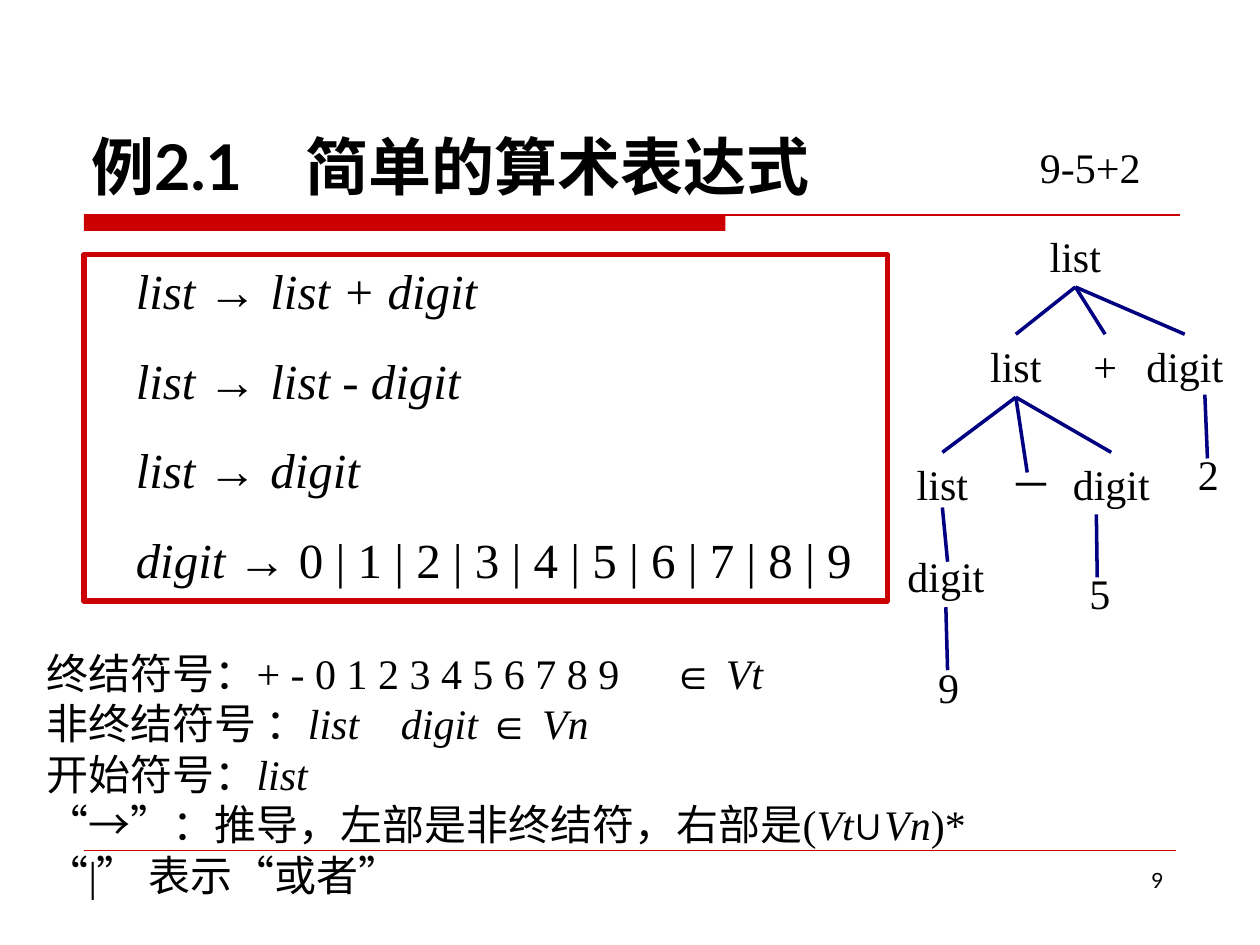
from lxml.etree import SubElement
from pptx import Presentation
from pptx.dml.color import RGBColor
from pptx.enum.shapes import MSO_CONNECTOR as Connector, MSO_SHAPE as Shape
from pptx.enum.text import MSO_ANCHOR as Anchor, MSO_AUTO_SIZE as AutoSize
from pptx.enum.text import PP_ALIGN as Align
from pptx.oxml.ns import qn
from pptx.util import Pt

BLACK = RGBColor(0x00, 0x00, 0x00)
RED = RGBColor(0xCC, 0x00, 0x00)
NAVY = RGBColor(0x00, 0x00, 0x80)
SERIF, SANS, HEADING = "Times New Roman", "Arial", "Lato"
TOP, BOTTOM = 0, 2
NODE_HEIGHT = 36

# Run styles: (font that differs from the paragraph, italic)
PLAIN, ITALIC, SYMBOL = (None, None), (None, True), (SANS, None)

GRAMMAR = [
    [("list ", ITALIC), ("→ ", SYMBOL), ("list + digit", ITALIC)],
    [("list ", ITALIC), ("→ ", SYMBOL), ("list - digit", ITALIC)],
    [("list ", ITALIC), ("→ ", SYMBOL), ("digit", ITALIC)],
    [("digit ", ITALIC), ("→", SYMBOL),
     (" 0 | 1 | 2 | 3 | 4 | 5 | 6 | 7 | 8 | 9", PLAIN)],
]
# Each explanation line with its tab stop, if it has one
NOTES = [
    ([("终结符号：+ - 0 1 2 3 4 5 6 7 8 9\t", PLAIN), ("∈ ", SYMBOL),
      ("Vt", ITALIC)], 357.5),
    ([("非终结符号 ：", PLAIN), ("list\tdigit ", ITALIC), ("∈ ", SYMBOL),
      ("Vn", ITALIC)], 202.5),
    ([("开始符号：", PLAIN), ("list", ITALIC)], None),
    ([("“", PLAIN), ("→", SYMBOL),
      ("”：推导，左部是非终结符，右部是(", PLAIN), ("Vt", ITALIC),
      ("∪", SYMBOL), ("Vn", ITALIC), (")*", PLAIN)], None),
    ([("“|” 表示“或者”", PLAIN)], None),
]
# Tree nodes: text, centre x, top, width
NODES = {
    "sum": ("list", 614.5, 128, 46),
    "difference": ("list", 580.5, 191, 46),
    "plus": ("+", 631.5, 191, 30),
    "right digit": ("digit", 677, 191, 62),
    "first": ("list", 538.5, 258.5, 46),
    "minus": ("－", 589.5, 258.5, 40),
    "middle digit": ("digit", 635, 258.5, 62),
    "left digit": ("digit", 540.5, 311, 62),
    "nine": ("9", 542, 374.5, 28),
    "five": ("5", 628.5, 321, 28),
    "two": ("2", 690.5, 253, 28),
}
# Tree edges: each end is a node or a point beside its label
EDGES = [
    ("sum", "difference"), ("sum", "plus"), ("sum", "right digit"),
    ("difference", "first"), ("difference", (587, 270)),
    ("difference", "middle digit"),
    ((538.5, 290), (541.5, 321)), ("left digit", (541.5, 383)),
    ((626.5, 294), (627, 330)), ((688.5, 225.5), (690, 262)),
]


def add_text_box(slide, left, top, width, height):
    box = slide.shapes.add_textbox(Pt(left), Pt(top), Pt(width), Pt(height))
    box.text_frame.word_wrap = True
    return box


def style_paragraph(paragraph, size, font=SERIF, align=Align.LEFT):
    paragraph.alignment = align
    paragraph.font.size = Pt(size)
    paragraph.font.name = font
    paragraph.font.color.rgb = BLACK


def add_label(slide, text, center, top, width):
    box = add_text_box(slide, center - width / 2, top, width, NODE_HEIGHT)
    box.text_frame.word_wrap = False
    box.text_frame.auto_size = AutoSize.SHAPE_TO_FIT_TEXT
    paragraph = box.text_frame.paragraphs[0]
    paragraph.text = text
    style_paragraph(paragraph, 24, align=Align.CENTER)
    return box


def add_runs(paragraph, runs):
    for text, (font, italic) in runs:
        run = paragraph.add_run()
        run.text = text
        if font:
            run.font.name = font
        if italic:
            run.font.italic = True


def add_tab_stop(paragraph, position):
    properties = paragraph._p.get_or_add_pPr()
    tabs = SubElement(properties, qn("a:tabLst"))
    SubElement(tabs, qn("a:tab"), pos=str(Pt(position)), algn="l")
    # The schema wants tab stops ahead of the default run properties
    properties.insert_element_before(tabs, "a:defRPr")


def add_line(slide, start, end, color, width):
    line = slide.shapes.add_connector(
        Connector.STRAIGHT, *(Pt(value) for value in (*start, *end)))
    line.line.color.rgb = color
    line.line.width = Pt(width)
    SubElement(line._element.spPr, qn("a:effectLst"))
    return line


def add_rectangle(slide, left, top, width, height):
    rectangle = slide.shapes.add_shape(
        Shape.RECTANGLE, Pt(left), Pt(top), Pt(width), Pt(height))
    rectangle.shadow.inherit = False
    return rectangle


def add_frame(slide):
    # Title rule: thick bar over a thin line
    bar = add_rectangle(slide, 48, 123, 366.5, 9)
    bar.fill.solid()
    bar.fill.fore_color.rgb = RED
    bar.line.fill.background()
    add_line(slide, (48, 123), (674.5, 123), RED, 1)

    # Footer rule and page number
    add_line(slide, (48, 486), (672, 486), RED, 0.25)
    page = add_text_box(slide, 516, 492, 156, 37.5).text_frame.paragraphs[0]
    page.text = "9"
    style_paragraph(page, 12, HEADING, Align.RIGHT)

    # Title
    title_box = add_text_box(slide, 45, 24, 630, 95.5)
    title_box.text_frame.vertical_anchor = Anchor.BOTTOM
    title = title_box.text_frame.paragraphs[0]
    title.text = "例2.1　简单的算术表达式"
    style_paragraph(title, 36, HEADING)
    title.font.bold = True


def add_grammar(slide):
    frame = add_text_box(slide, 70.5, 145.5, 436.5, 194.5).text_frame
    for index, runs in enumerate(GRAMMAR):
        rule = frame.add_paragraph() if index else frame.paragraphs[0]
        add_runs(rule, runs)
        style_paragraph(rule, 28)
        rule.space_before = Pt(17.5)
    border = add_rectangle(slide, 48, 145.5, 459, 198)
    border.fill.background()
    border.line.color.rgb = RED
    border.line.width = Pt(3)


def add_notes(slide):
    frame = add_text_box(slide, 19.5, 366.5, 641, 151).text_frame
    for index, (runs, tab) in enumerate(NOTES):
        note = frame.add_paragraph() if index else frame.paragraphs[0]
        add_runs(note, runs)
        style_paragraph(note, 24)
        if tab:
            add_tab_stop(note, tab)


def add_tree(slide):
    boxes = {key: add_label(slide, *node) for key, node in NODES.items()}

    def locate(end, side):
        if end not in NODES:
            return end
        _, center, top, _ = NODES[end]
        return center, top + (NODE_HEIGHT if side == BOTTOM else 0)

    for parent, child in EDGES:
        edge = add_line(slide, locate(parent, BOTTOM), locate(child, TOP), NAVY, 2)
        if parent in boxes:
            edge.begin_connect(boxes[parent], BOTTOM)
        if child in boxes:
            edge.end_connect(boxes[child], TOP)


def main():
    deck = Presentation()
    deck.slide_width, deck.slide_height = Pt(720), Pt(540)
    slide = deck.slides.add_slide(deck.slide_layouts[6])
    add_frame(slide)
    add_grammar(slide)
    add_notes(slide)
    add_label(slide, "9-5+2", 623, 77.5, 72)
    add_tree(slide)
    deck.save("out.pptx")


if __name__ == "__main__":
    main()
